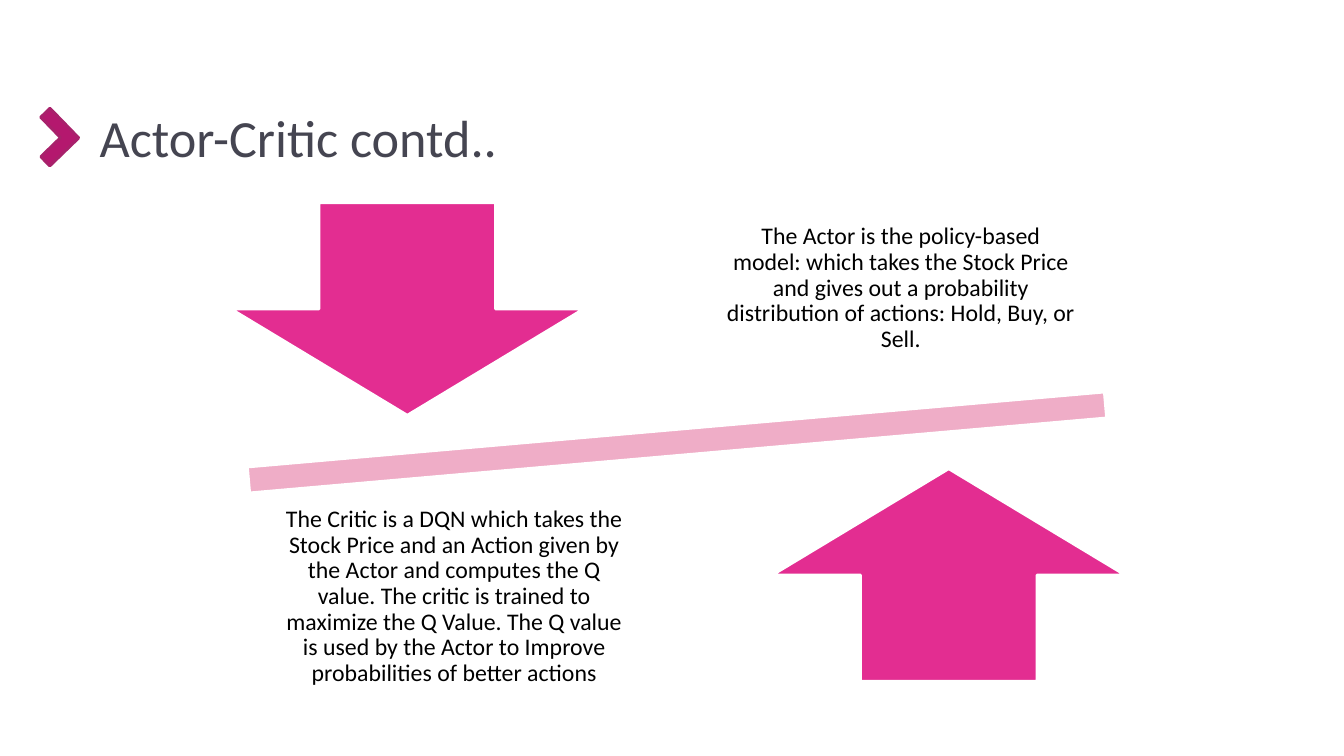
"""Build the Actor-Critic slide with its two balanced arrows."""
from pptx import Presentation
from pptx.dml.color import RGBColor
from pptx.enum.shapes import MSO_SHAPE
from pptx.enum.text import MSO_ANCHOR, PP_ALIGN
from pptx.util import Inches, Pt

CORNER, MINUS = MSO_SHAPE.CORNER, MSO_SHAPE.MATH_MINUS
DOWN, UP = MSO_SHAPE.DOWN_ARROW, MSO_SHAPE.UP_ARROW
MIDDLE = MSO_ANCHOR.MIDDLE
LEFT, CENTER = PP_ALIGN.LEFT, PP_ALIGN.CENTER

TITLE = "Actor-Critic contd.."
ACTOR = ("The Actor is the policy-based model: which takes the Stock Price "
         "and gives out a probability distribution of actions: Hold, Buy, or Sell.")
CRITIC = ("The Critic is a DQN which takes the Stock Price and an Action given by "
          "the Actor and computes the Q value. The critic is trained to maximize "
          "the Q Value. The Q value is used by the Actor to Improve probabilities "
          "of better actions")

ARROW, NOTE = (3.5, 2.11), (3.73, 2.22)
SHAPES = [
    (CORNER, (0.29, 1.16, 0.41, 0.4), 225.9, "B4186E", "A8216B"),
    (MINUS, (0.91, 3.84, 11.61, 1.1), 355, "EFADC7", "FFFFFF"),
    (DOWN, (2.29, 2.01, *ARROW), 0, "E32D91", "FFFFFF"),
    (UP, (7.66, 4.65, *ARROW), 0, "E32D91", "FFFFFF"),
]
HEAD = {"size": 37.3, "color": "454551", "align": LEFT, "lead": 1.0, "pad": (0.1, 0.05)}
BODY = {"size": 17, "color": "000000", "align": CENTER, "lead": 0.9, "pad": (0.13, 0.13)}
TEXTS = [
    (TITLE, (0.89, 0.97, 11.67, 0.78), HEAD),
    (ACTOR, (7.07, 1.75, *NOTE), BODY),
    (CRITIC, (2.64, 4.81, *NOTE), BODY),
]


def rgb(code):
    return RGBColor.from_string(code)


def assign(item, values):
    for name, value in values.items():
        setattr(item, name, value)


def add_shape(slide, kind, box, turn, fill, edge):
    shape = slide.shapes.add_shape(kind, *map(Inches, box))
    shape.shadow.inherit = False
    shape.rotation = turn
    shape.fill.solid()
    shape.fill.fore_color.rgb = rgb(fill)
    shape.line.color.rgb = rgb(edge)
    shape.line.width = Pt(2)
    if kind == CORNER:
        shape.adjustments[0] = shape.adjustments[1] = 0.32


def add_text(slide, text, box, style):
    frame = slide.shapes.add_textbox(*map(Inches, box)).text_frame
    side, edge = map(Inches, style["pad"])
    assign(frame, {"word_wrap": True, "vertical_anchor": MIDDLE,
                   "margin_left": side, "margin_right": side,
                   "margin_top": edge, "margin_bottom": edge})
    para = frame.paragraphs[0]
    assign(para, {"alignment": style["align"], "line_spacing": style["lead"]})
    run = para.add_run()
    run.text = text
    assign(run.font, {"name": "Calibri", "size": Pt(style["size"])})
    run.font.color.rgb = rgb(style["color"])


def main():
    deck = Presentation()
    assign(deck, {"slide_width": Inches(13.33), "slide_height": Inches(7.5)})
    slide = deck.slides.add_slide(deck.slide_layouts[6])
    for item in SHAPES:
        add_shape(slide, *item)
    for item in TEXTS:
        add_text(slide, *item)
    deck.save("out.pptx")


if __name__ == "__main__":
    main()
